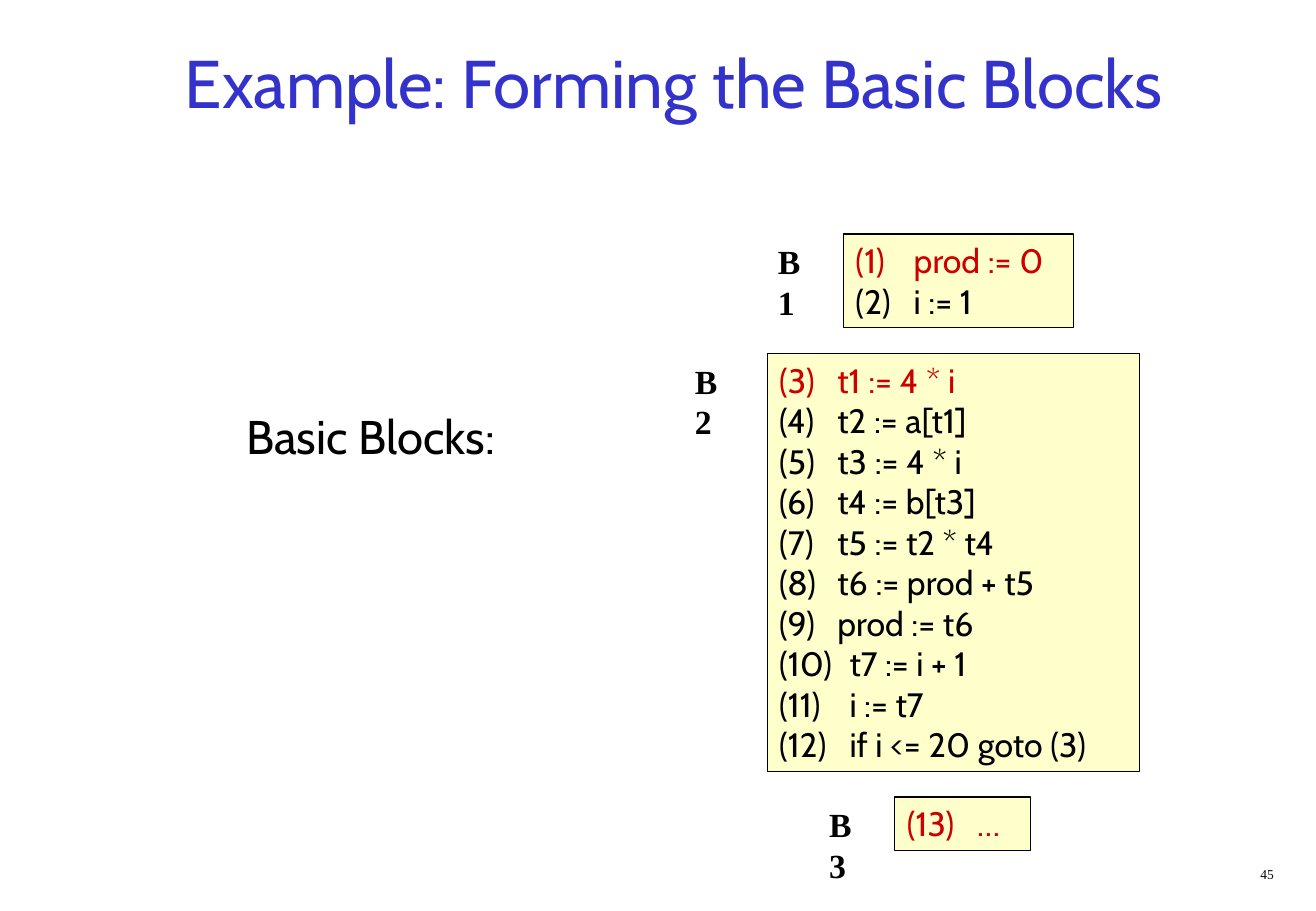
from pptx import Presentation
from pptx.dml.color import RGBColor as Color
from pptx.enum.shapes import MSO_SHAPE as Shape
from pptx.enum.text import MSO_ANCHOR as Anchor, PP_ALIGN as Align
from pptx.oxml import parse_xml
from pptx.oxml.ns import nsdecls
from pptx.util import Inches, Pt

COLOURS = {"title": "3333CC", "text": "000000", "leader": "CC0000", "block": "FFFFCC"}
SANS, SERIF = "Cabin", "Times New Roman"

# Block heights and gaps, in percent of the slide height
LINE, PADDING, GAP = 4.45, 1.4, 2.8

# Each block: name, label left, block left, block width (percent), code lines
BLOCKS = [
    ("B1", 58.2, 64.1, 17.5, [(1, "prod := 0"), (2, "i := 1")]),
    ("B2", 51.9, 58.3, 28.3, [
        (3, "t1 := 4 * i"),
        (4, "t2 := a[t1]"),
        (5, "t3 := 4 * i"),
        (6, "t4 := b[t3]"),
        (7, "t5 := t2 * t4"),
        (8, "t6 := prod + t5"),
        (9, "prod := t6"),
        (10, "t7 := i + 1"),
        (11, "i := t7"),
        (12, "if i <= 20 goto (3)"),
    ]),
    ("B3", 62.1, 68, 10.3, [(13, "…")]),
]


class SlideBuilder:
    """Places elements by percent of the slide's width and height."""

    def __init__(self, deck):
        self.deck = deck
        self.page = deck.slides.add_slide(deck.slide_layouts[5])

    def place(self, left, top, width, height):
        across, down = self.deck.slide_width / 100, self.deck.slide_height / 100
        return [int(left * across), int(top * down),
                int(width * across), int(height * down)]

    def add_text_run(self, para, text, size, colour="text", font=SANS, bold=False):
        run = para.add_run()
        run.text = text
        run.font.size = Pt(size)
        run.font.name = font
        run.font.bold = bold
        run.font.color.rgb = Color.from_string(COLOURS[colour])

    def title(self, text, *area):
        box = self.page.shapes.title
        box.left, box.top, box.width, box.height = self.place(*area)
        box.text_frame.vertical_anchor = Anchor.MIDDLE
        para = box.text_frame.paragraphs[0]
        para.alignment = Align.CENTER
        self.add_text_run(para, text, 40, "title")

    def text(self, text, area, size, align=Align.LEFT, wrap=True, **style):
        box = self.page.shapes.add_textbox(*self.place(*area))
        box.text_frame.word_wrap = wrap
        para = box.text_frame.paragraphs[0]
        para.alignment = align
        self.add_text_run(para, text, size, **style)

    def tab_stop(self, para, inches):
        stops = parse_xml(f'<a:tabLst {nsdecls("a")}>'
                          f'<a:tab pos="{Inches(inches)}" algn="l"/></a:tabLst>')
        para._p.get_or_add_pPr().append(stops)

    def code_block(self, lines, area):
        box = self.page.shapes.add_shape(Shape.RECTANGLE, *self.place(*area))
        box.shadow.inherit = False
        box.fill.solid()
        box.fill.fore_color.rgb = Color.from_string(COLOURS["block"])
        box.line.color.rgb = Color.from_string(COLOURS["text"])
        box.line.width = Pt(0.75)
        frame = box.text_frame
        frame.word_wrap = True
        frame.vertical_anchor = Anchor.TOP
        for index, (number, code) in enumerate(lines):
            para = frame.paragraphs[0] if index == 0 else frame.add_paragraph()
            para.alignment = Align.LEFT
            self.tab_stop(para, 0.48 if number < 10 else 0.58)
            # The first line of a block is its leader
            colour = "leader" if index == 0 else "text"
            self.add_text_run(para, f"({number})\t{code}", 20, colour)


def main():
    deck = Presentation()
    deck.slide_width, deck.slide_height = Inches(10.84), Inches(7.5)
    slide = SlideBuilder(deck)

    # Title, caption and page number
    slide.title("Example: Forming the Basic Blocks", 3.9, 2.3, 94.6, 13.3)
    slide.text("Basic Blocks:", (17.8, 44.1, 24.1, 7.6), 28)
    slide.text("45", (76.8, 94.4, 20.9, 3.3), 8, Align.RIGHT, font=SERIF)

    # Labelled blocks, stacked with an equal gap
    top = 25.7
    for name, label_left, left, width, lines in BLOCKS:
        height = PADDING + LINE * len(lines)
        slide.code_block(lines, (left, top, width, height))
        slide.text(name, (label_left, top + 0.1, 4.8, PADDING + LINE), 20,
                   wrap=False, font=SERIF, bold=True)
        top += height + GAP

    deck.save("out.pptx")


if __name__ == "__main__":
    main()
